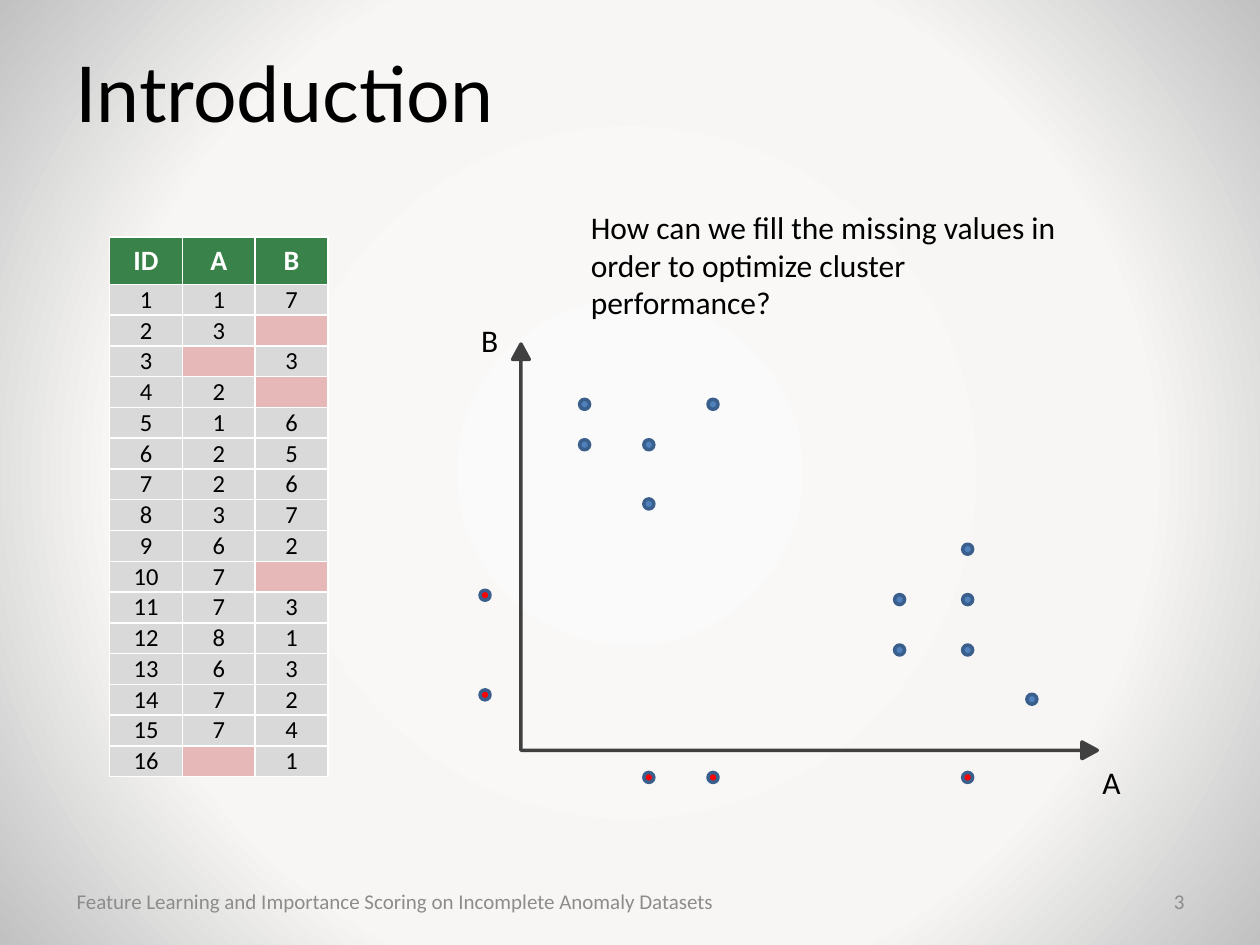
import pptx
import pptx.util
import pptx.oxml
import pptx.oxml.ns
import pptx.dml.color
import pptx.enum.shapes
import pptx.enum.text
import lxml.etree

Pt = pptx.util.Pt
ALIGN = pptx.enum.text.PP_ALIGN
MIDDLE = pptx.enum.text.MSO_ANCHOR.MIDDLE
SHAPES = pptx.enum.shapes.MSO_SHAPE

COLORS = {
    "text": "000000",
    "footer": "8C8C8C",
    "header_text": "FFFFFF",
    "header": "398249",
    "cell": "D9D9D9",
    "missing": "E6B9B8",
    "axis": "404040",
    "point": "4F81BD",
    "missing_point": "FF0000",
    "point_line": "3A5F8C",
}
RECORDS = [
    (1, 7), (3, None), (None, 3), (2, None),
    (1, 6), (2, 5), (2, 6), (3, 7),
    (6, 2), (7, None), (7, 3), (8, 1),
    (6, 3), (7, 2), (7, 4), (None, 1),
]


def add_run(paragraph, text, size, color, font="Calibri", bold=False, align=ALIGN.LEFT):
    paragraph.alignment = align
    run = paragraph.add_run()
    run.text = text
    run.font.name = font
    run.font.size = Pt(size)
    run.font.bold = bold
    run.font.color.rgb = pptx.dml.color.RGBColor.from_string(COLORS[color])


def add_solid_shape(kind, left, top, width, height, fill, line):
    shape = slide.shapes.add_shape(kind, Pt(left), Pt(top), Pt(width), Pt(height))
    shape.shadow.inherit = False
    shape.fill.solid()
    shape.fill.fore_color.rgb = pptx.dml.color.RGBColor.from_string(COLORS[fill])
    shape.line.color.rgb = pptx.dml.color.RGBColor.from_string(COLORS[line])
    shape.line.width = Pt(2)
    return shape


presentation = pptx.Presentation()
presentation.slide_width = Pt(720)
presentation.slide_height = Pt(540)
slide = presentation.slides.add_slide(presentation.slide_layouts[5])

namespaces = pptx.oxml.ns.nsdecls("p", "a")
background = pptx.oxml.parse_xml(
    f'<p:bg {namespaces}><p:bgPr><a:gradFill rotWithShape="1"><a:gsLst>'
    '<a:gs pos="0"><a:srgbClr val="FAFAFA"/></a:gs>'
    '<a:gs pos="66000"><a:srgbClr val="F7F6F4"/></a:gs>'
    '<a:gs pos="100000"><a:srgbClr val="C1C1C1"/></a:gs></a:gsLst>'
    '<a:path path="circle"><a:fillToRect l="50000" t="50000" r="50000" b="50000"/></a:path>'
    '</a:gradFill><a:effectLst/></p:bgPr></p:bg>'
)
slide.element.cSld.insert(0, background)

title = slide.shapes.title
title.left, title.top, title.width, title.height = Pt(36), Pt(21.6), Pt(648), Pt(61.2)
title.text_frame.vertical_anchor = MIDDLE
add_run(title.text_frame.paragraphs[0], "Introduction", 44, "text", font="Lato")

table_shape = slide.shapes.add_table(len(RECORDS) + 1, 3, Pt(62.64), Pt(135.36), Pt(124.8), Pt(308.8))
table = table_shape.table
for column in table.columns:
    column.width = Pt(41.6)
rows = [("ID", "A", "B")] + [(number, *record) for number, record in enumerate(RECORDS, 1)]
for row_index, values in enumerate(rows):
    is_header = row_index == 0
    table.rows[row_index].height = Pt(27.2 if is_header else 17.6)
    for column_index, value in enumerate(values):
        cell = table.cell(row_index, column_index)
        cell.vertical_anchor = MIDDLE
        if not is_header:
            cell.margin_top = cell.margin_bottom = 0
        fill = "header" if is_header else "missing" if value is None else "cell"
        cell.fill.solid()
        cell.fill.fore_color.rgb = pptx.dml.color.RGBColor.from_string(COLORS[fill])
        paragraph = cell.text_frame.paragraphs[0]
        if value is None:
            lxml.etree.SubElement(paragraph._p, pptx.oxml.ns.qn("a:endParaRPr"), sz="1400")
        else:
            add_run(paragraph, str(value), 16 if is_header else 14,
                    "header_text" if is_header else "text", bold=is_header, align=ALIGN.CENTER)

axes = add_solid_shape(SHAPES.LEFT_UP_ARROW, 293, 196.6, 334.1, 236.9, "axis", "axis")
axes.element.spPr.xfrm.set("flipH", "1")
for index, adjustment in enumerate((0, 0.02, 0.037)):
    axes.adjustments[index] = adjustment

point_lefts = {1: 331.2, 2: 367.9, 3: 404.6, 6: 511.2, 7: 550.1, 8: 586.8, None: 274.3}
point_tops = {1: 396.7, 2: 368.6, 3: 339.8, 4: 311, 5: 285.1, 6: 251.3, 7: 228.2, None: 441.4}
for a, b in RECORDS:
    top = point_tops[b] - (2.5 if a is None else 0)
    fill = "missing_point" if None in (a, b) else "point"
    add_solid_shape(SHAPES.OVAL, point_lefts[a], top, 5.7, 5.7, fill, "point_line")

question = "How can we fill the missing values in order to optimize cluster performance?"
footer = "Feature Learning and Importance Scoring on Incomplete Anomaly Datasets"
for text, left, top, width, height, size, color, align, wrap in (
    ("A", 622.8, 432.7, 25.2, 28.8, 18, "text", ALIGN.LEFT, False),
    ("B", 267.8, 180, 25.2, 28.8, 18, "text", ALIGN.LEFT, False),
    (question, 330.5, 115.2, 286.6, 72.7, 18, "text", ALIGN.LEFT, True),
    (footer, 36.7, 500.4, 521.3, 28.8, 12, "footer", ALIGN.LEFT, True),
    ("3", 569.5, 500.4, 114.5, 28.8, 12, "footer", ALIGN.RIGHT, True),
):
    text_box = slide.shapes.add_textbox(Pt(left), Pt(top), Pt(width), Pt(height))
    frame = text_box.text_frame
    frame.word_wrap = wrap
    if color == "footer":
        frame.vertical_anchor = MIDDLE
    else:
        frame.auto_size = pptx.enum.text.MSO_AUTO_SIZE.SHAPE_TO_FIT_TEXT
    add_run(frame.paragraphs[0], text, size, color, align=align)

presentation.save("out.pptx")
